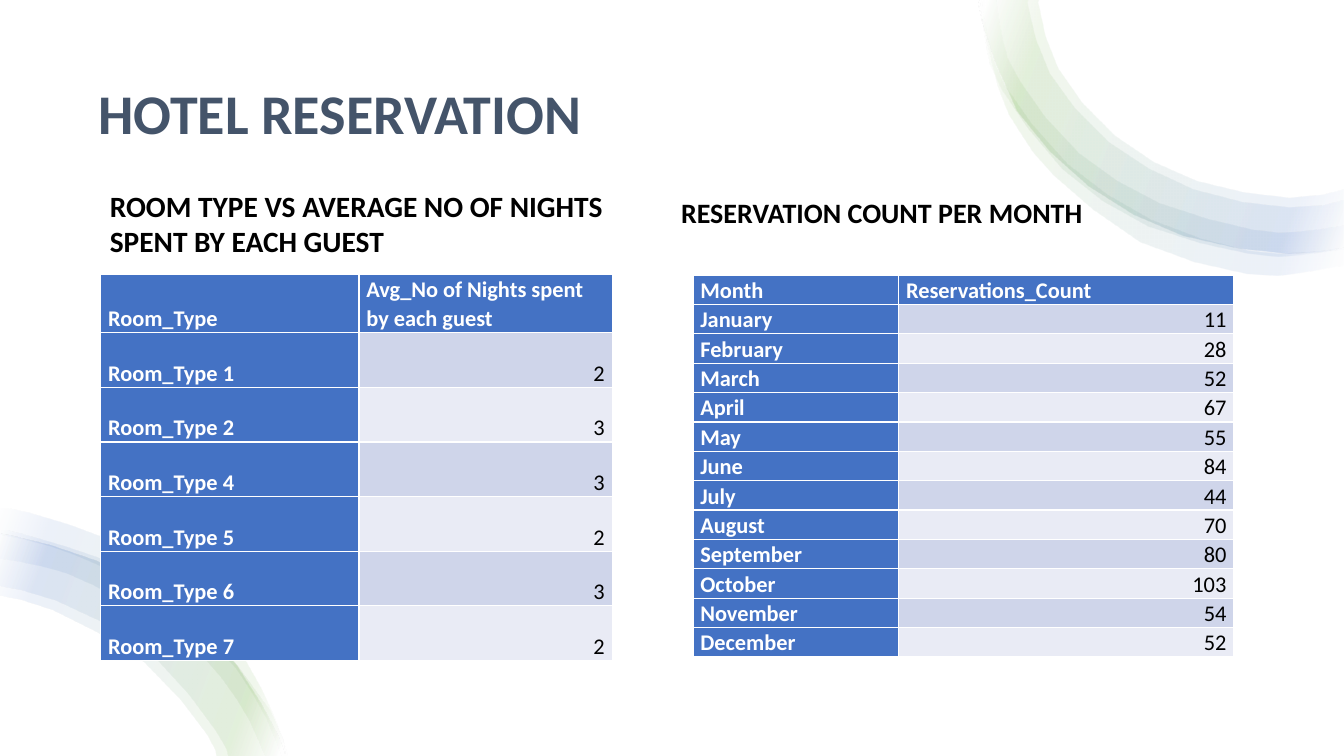
from lxml.etree import SubElement
from pptx import Presentation
from pptx.dml.color import RGBColor
from pptx.enum.text import MSO_ANCHOR as Anchor, MSO_AUTO_SIZE as AutoSize, PP_ALIGN as Align
from pptx.oxml.ns import qn
from pptx.util import Emu, Pt

PX = 9525  # EMU per px, 96 px to the inch
FONT = "Calibri"
COLORS = {
    "title": "44546A", "text": "000000", "white": "FFFFFF",
    "blue": "4472C4", "green": "70AD47",
    "band_dark": "CFD5EA", "band_light": "E9EBF5",
}
RIBBON_STOPS = [(2, "white"), (16, "green"), (85, "blue"), (100, "white")]
RIBBON_OPACITY = 10

# Ribbon layers: points on the outer edge, then points back along the inner edge
TOP_OUTER = [(2, 0), (3, 19), (37, 106), (105, 177), (195, 224), (296, 241), (348, 235)]
TOP_LAYERS = [
    (TOP_OUTER,
     [(348, 180), (296, 188), (208, 172), (130, 129), (76, 65), (59, 12), (58, 0)]),
    (TOP_OUTER,
     [(348, 190), (296, 197), (205, 180), (124, 135), (68, 70), (49, 13), (48, 0)]),
    ([(2, 0), (7, 41), (22, 85), (80, 161), (161, 215), (257, 241), (307, 242), (348, 236)],
     [(348, 214), (305, 220), (260, 218), (172, 193), (96, 146), (40, 78), (23, 37), (17, 0)]),
    ([(0, 0), (19, 84), (41, 128), (72, 167), (154, 230), (255, 260), (308, 259), (348, 252)],
     [(348, 235), (306, 240), (257, 238), (165, 209), (85, 156), (25, 81), (9, 36), (3, 0)]),
]
BOTTOM_OUTER = [(271, 236), (265, 217), (225, 149), (166, 92), (92, 50), (11, 26), (0, 25)]
BOTTOM_LAYERS = [
    ([(274, 236), (260, 196), (235, 147), (202, 103), (159, 63), (110, 32), (28, 4), (0, 0)],
     [(0, 25), (48, 36), (98, 56), (145, 82), (187, 115), (225, 153), (253, 199), (268, 236)]),
    (BOTTOM_OUTER,
     [(0, 83), (51, 97), (137, 146), (197, 215), (206, 236)]),
    ([(272, 236), (257, 193), (192, 109), (150, 76), (102, 50), (23, 25), (0, 21)],
     [(0, 48), (42, 56), (90, 74), (175, 127), (210, 161), (237, 202), (252, 236)]),
    (BOTTOM_OUTER,
     [(0, 74), (54, 88), (144, 138), (205, 211), (217, 236)]),
]

ROOM_NIGHTS = [
    ("Room_Type", "Avg_No of Nights spent by each guest"),
    ("Room_Type 1", 2), ("Room_Type 2", 3), ("Room_Type 4", 3),
    ("Room_Type 5", 2), ("Room_Type 6", 3), ("Room_Type 7", 2),
]
MONTH_COUNTS = [
    ("Month", "Reservations_Count"),
    ("January", 11), ("February", 28), ("March", 52), ("April", 67),
    ("May", 55), ("June", 84), ("July", 44), ("August", 70),
    ("September", 80), ("October", 103), ("November", 54), ("December", 52),
]


def px(value):
    return Emu(round(value * PX))


def rgb(name):
    return RGBColor.from_string(COLORS[name])


def write_text(frame, text, size, color="text", bold=True, align=Align.LEFT,
               spacing=1.0, after=0):
    frame.word_wrap = True
    paragraph = frame.paragraphs[0]
    paragraph.alignment = align
    paragraph.line_spacing = spacing
    paragraph.space_before, paragraph.space_after = Pt(0), Pt(after)
    run = paragraph.add_run()
    run.text = text
    run.font.name, run.font.size, run.font.bold = FONT, Pt(size), bold
    run.font.color.rgb = rgb(color)


def fill_placeholder(shape, box, text, anchor=Anchor.TOP, **text_format):
    shape.left, shape.top, shape.width, shape.height = map(px, box)
    shape.text_frame.auto_size = AutoSize.NONE
    shape.text_frame.vertical_anchor = anchor
    write_text(shape.text_frame, text, **text_format)


def smooth(points):
    """Add a point on the Catmull-Rom curve halfway between each pair."""
    padded = [points[0], *points, points[-1]]
    curve = [points[0]]
    for a, b, c, d in zip(padded, padded[1:], padded[2:], padded[3:]):
        middle = tuple((9 * (q + r) - p - s) / 16 for p, q, r, s in zip(a, b, c, d))
        curve += [middle, c]
    return curve


def set_ribbon_gradient(shape, angle):
    shape.fill.gradient()
    gradient = shape.element.spPr.find(qn("a:gradFill"))
    for child in list(gradient):
        gradient.remove(child)
    stops = SubElement(gradient, qn("a:gsLst"))
    for position, name in RIBBON_STOPS:
        stop = SubElement(stops, qn("a:gs"), pos=str(position * 1000))
        color = SubElement(stop, qn("a:srgbClr"), val=COLORS[name])
        SubElement(color, qn("a:alpha"), val=str(RIBBON_OPACITY * 1000))
    SubElement(gradient, qn("a:lin"), ang=str(angle * 60000), scaled="0")


def add_ribbon(slide, left, top, layers, angle):
    for outer, inner in layers:
        outline = [(left + x, top + y) for x, y in smooth(outer) + smooth(inner)]
        builder = slide.shapes.build_freeform(*outline[0], scale=PX)
        builder.add_line_segments(outline[1:], close=True)
        shape = builder.convert_to_shape()
        shape.shadow.inherit = False
        shape.line.fill.background()
        set_ribbon_gradient(shape, angle)


def add_data_table(slide, left, top, column_widths, header_height, row_height, rows):
    height = header_height + row_height * (len(rows) - 1)
    table = slide.shapes.add_table(len(rows), len(column_widths), px(left), px(top),
                                   px(sum(column_widths)), px(height)).table
    table.first_col = True
    for column, width in zip(table.columns, column_widths):
        column.width = px(width)
    for row_index, values in enumerate(rows):
        table.rows[row_index].height = px(row_height if row_index else header_height)
        for column_index, value in enumerate(values):
            cell = table.cell(row_index, column_index)
            is_label = row_index == 0 or column_index == 0
            band = "band_dark" if row_index % 2 else "band_light"
            cell.fill.solid()
            cell.fill.fore_color.rgb = rgb("blue" if is_label else band)
            cell.margin_left = cell.margin_right = px(7)
            cell.margin_top = cell.margin_bottom = 0
            cell.vertical_anchor = Anchor.BOTTOM
            write_text(cell.text_frame, str(value), size=16, bold=is_label,
                       color="white" if is_label else "text", spacing=1.07,
                       align=Align.LEFT if is_label else Align.RIGHT)


def build_reservation_slide(presentation):
    slide = presentation.slides.add_slide(presentation.slide_layouts.get_by_name("Comparison"))
    placeholders = {shape.placeholder_format.idx: shape for shape in slide.placeholders}

    # Title and the two table headings
    fill_placeholder(placeholders[0], (84, 48, 1111, 125), "HOTEL RESERVATION", size=40,
                     color="title", anchor=Anchor.MIDDLE, spacing=0.9)
    fill_placeholder(placeholders[1], (95, 174, 511, 516),
                     "ROOM TYPE VS AVERAGE NO OF NIGHTS SPENT BY EACH GUEST", size=21, after=6)
    fill_placeholder(placeholders[3], (639, 181, 555, 421),
                     "RESERVATION COUNT PER MONTH", size=20, after=6)
    for index in (2, 4):
        element = placeholders[index].element
        element.getparent().remove(element)

    # Corner ribbons
    add_ribbon(slide, 932, 0, TOP_LAYERS, angle=20)
    add_ribbon(slide, 0, 484, BOTTOM_LAYERS, angle=200)

    # Tables
    add_data_table(slide, 96, 261, (246, 241), 56, 52, ROOM_NIGHTS)
    add_data_table(slide, 660, 262, (196, 319), 28, 28, MONTH_COUNTS)


def main():
    presentation = Presentation()
    presentation.slide_width, presentation.slide_height = px(1280), px(720)
    build_reservation_slide(presentation)
    presentation.save("out.pptx")


if __name__ == "__main__":
    main()
